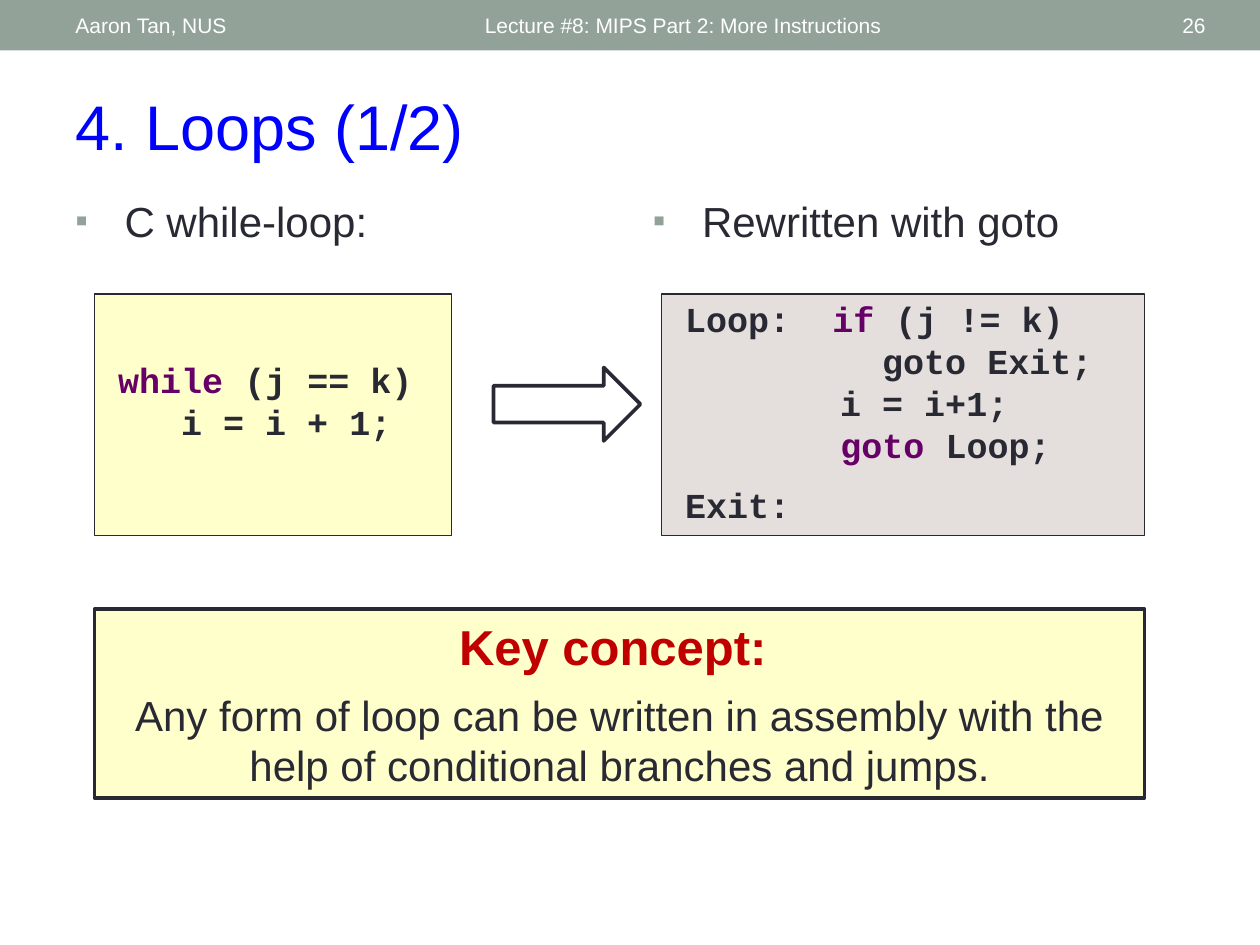
import collections
import lxml.etree
import pptx
import pptx.dml.color
import pptx.enum.shapes
import pptx.enum.text
import pptx.oxml.ns
import pptx.util

COLORS = {
    "band": "93A299", "white": "FFFFFF", "title": "0000FF", "ink": "292934",
    "cream": "FFFFCC", "stone": "E4DFDC", "keyword": "660066", "key": "C00000",
}
COLUMNS, ROWS = 120, 90
SLIDE_WIDTH, SLIDE_HEIGHT = pptx.util.Inches(10), pptx.util.Inches(7.5)

Box = collections.namedtuple("Box", "left top width height")
SHAPES = pptx.enum.shapes.MSO_SHAPE
ANCHOR = pptx.enum.text.MSO_ANCHOR
ALIGN = pptx.enum.text.PP_ALIGN


def rgb(name):
    return pptx.dml.color.RGBColor.from_string(COLORS[name])


def place(box):
    cell_width, cell_height = SLIDE_WIDTH / COLUMNS, SLIDE_HEIGHT / ROWS
    return [round(share) for share in (
        box.left * cell_width, box.top * cell_height,
        box.width * cell_width, box.height * cell_height)]


def set_font(font, size, color, bold=False, name="Arial"):
    font.name = name
    font.size = pptx.util.Pt(size)
    font.bold = bold
    font.color.rgb = rgb(color)


def add_panel(slide, box, fill, line=None, weight=0.75, kind=SHAPES.RECTANGLE):
    panel = slide.shapes.add_shape(kind, *place(box))
    panel.shadow.inherit = False
    panel.fill.solid()
    panel.fill.fore_color.rgb = rgb(fill)
    if line:
        panel.line.color.rgb = rgb(line)
        panel.line.width = pptx.util.Pt(weight)
    else:
        panel.line.fill.background()
    return panel


def add_label(slide, box, text, size, color, anchor=ANCHOR.MIDDLE, align=ALIGN.LEFT, bullet=None):
    frame = slide.shapes.add_textbox(*place(box)).text_frame
    frame.word_wrap = True
    frame.vertical_anchor = anchor
    paragraph = frame.paragraphs[0]
    paragraph.text = text
    paragraph.alignment = align
    if bullet:
        add_bullet(paragraph, bullet)
    set_font(paragraph.font, size, color)


def set_indent(paragraph, inches):
    properties = paragraph._p.get_or_add_pPr()
    properties.set("marL", str(pptx.util.Inches(inches)))
    properties.set("indent", str(-pptx.util.Inches(inches)))
    return properties


def add_bullet(paragraph, mark):
    properties = set_indent(paragraph, 0.39)
    qn = pptx.oxml.ns.qn
    color = lxml.etree.SubElement(properties, qn("a:buClr"))
    lxml.etree.SubElement(color, qn("a:srgbClr"), val=COLORS["band"])
    lxml.etree.SubElement(properties, qn("a:buSzPct"), val="85000")
    lxml.etree.SubElement(properties, qn("a:buFont"), typeface="Arial")
    lxml.etree.SubElement(properties, qn("a:buChar"), char=mark)


def add_header(slide, box, author, lecture, number):
    add_panel(slide, box, "band")
    for text, left, width, align in (
            (lecture, 45, 54, ALIGN.LEFT),
            (author, 6, 38, ALIGN.LEFT),
            (number, 104.6, 11.4, ALIGN.RIGHT)):
        cell = Box(box.left + left, box.top, width, box.height)
        add_label(slide, cell, text, 12, "white", align=align)


def add_code(slide, box, fill, paragraphs, blank_top=0.0, hanging=0.0):
    frame = add_panel(slide, box, fill, "ink").text_frame
    frame.word_wrap = True
    frame.vertical_anchor = ANCHOR.TOP
    frame.margin_left = frame.margin_right = pptx.util.Inches(0.02)
    frame.margin_top = pptx.util.Inches(0.03 + blank_top)
    frame.margin_bottom = pptx.util.Inches(0.03)
    for index, lines in enumerate(paragraphs):
        paragraph = frame.paragraphs[0] if index == 0 else frame.add_paragraph()
        paragraph.alignment = ALIGN.LEFT
        paragraph.line_spacing = pptx.util.Pt(24)
        if index:
            paragraph.space_before = pptx.util.Pt(10)
        set_indent(paragraph, hanging)
        set_font(paragraph.font, 20, "ink", True, "Courier New")
        for number, line in enumerate(lines):
            if number:
                paragraph.add_line_break()
            for text, color in line:
                run = paragraph.add_run()
                run.text = text
                set_font(run.font, 20, color, True, "Courier New")


def add_key_concept(slide, box, heading, statement):
    frame = add_panel(slide, box, "cream", "ink", 2.08).text_frame
    frame.word_wrap = True
    frame.vertical_anchor = ANCHOR.MIDDLE
    first, second = frame.paragraphs[0], frame.add_paragraph()
    first.text, second.text = heading, statement
    first.alignment = second.alignment = ALIGN.CENTER
    second.space_before = pptx.util.Pt(8)
    set_font(first.font, 28, "key", True)
    set_font(second.font, 24, "ink")


def add_loop_comparison(slide, box):
    for text, left in (("C while-loop:", 0), ("Rewritten with goto", 55)):
        heading = Box(box.left + left, box.top, 53, 6)
        add_label(slide, heading, text, 24, "ink", ANCHOR.TOP, bullet="▪")
    code_top, code_height = box.top + 10, 23
    while_code = [[
        [(" while", "keyword"), (" (j == k)", "ink")],
        [("    i = i + 1;", "ink")],
    ]]
    goto_code = [
        [
            [(" Loop:  ", "ink"), ("if", "keyword"), (" (j != k)", "ink")],
            [("         goto Exit;", "ink")],
            [("       i = i+1;", "ink")],
            [("       ", "ink"), ("goto", "keyword"), (" Loop;", "ink")],
        ],
        [[(" Exit:", "ink")]],
    ]
    add_code(slide, Box(box.left + 3, code_top, 34, code_height), "cream",
             while_code, blank_top=0.48)
    add_code(slide, Box(box.left + 57, code_top, 46, code_height), "stone",
             goto_code, hanging=0.23)
    add_panel(slide, Box(box.left + 41, code_top + 7, 14, 7), "white", "ink",
              2.08, SHAPES.RIGHT_ARROW)


def main():
    deck = pptx.Presentation()
    deck.slide_width, deck.slide_height = SLIDE_WIDTH, SLIDE_HEIGHT
    slide = deck.slides.add_slide(deck.slide_layouts[6])
    add_header(slide, Box(0, 0, COLUMNS, 4.8), "Aaron Tan, NUS",
               "Lecture #8: MIPS Part 2: More Instructions", "26")
    add_label(slide, Box(6, 7.7, 110, 8.5), "4. Loops (1/2)", 36, "title")
    add_loop_comparison(slide, Box(6, 18, 108, 33))
    add_key_concept(slide, Box(9, 58, 100, 18), "Key concept: ",
                    "Any form of loop can be written in assembly with the "
                    "help of conditional branches and jumps.")
    deck.save("out.pptx")


if __name__ == "__main__":
    main()
